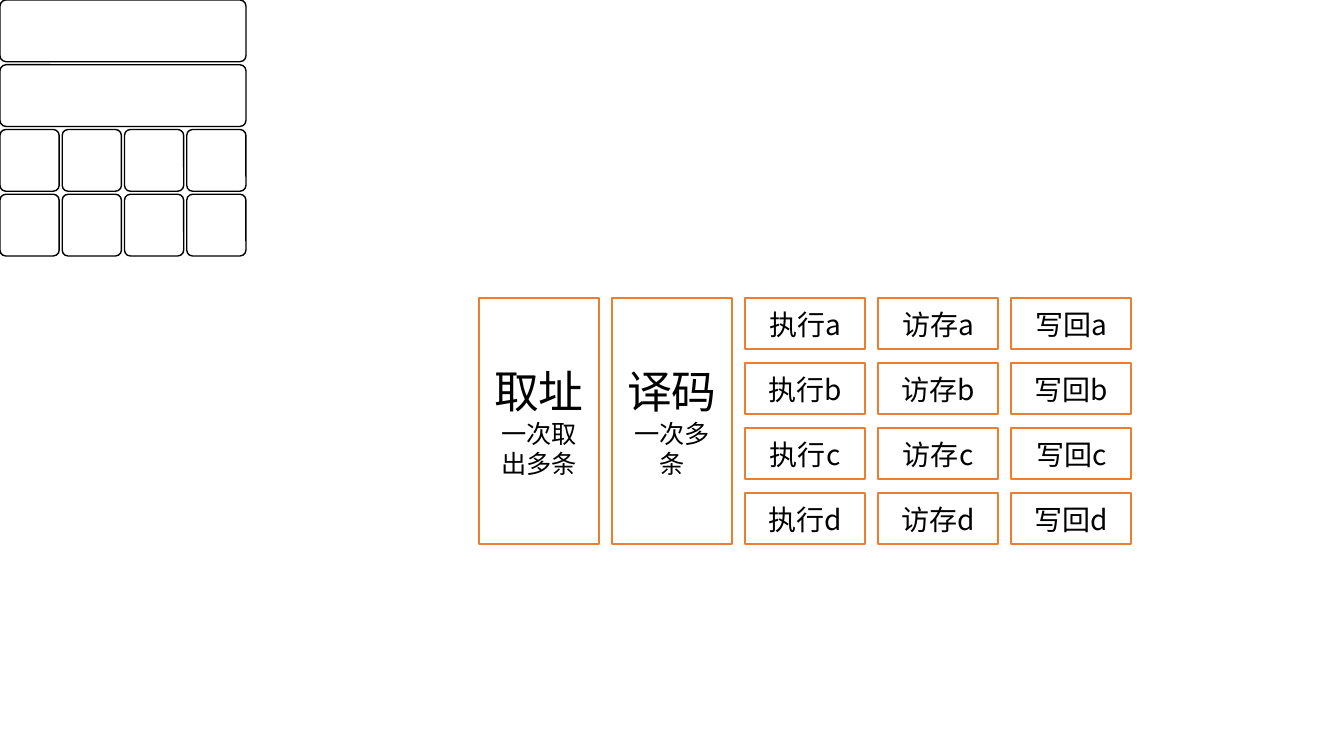
from dataclasses import dataclass

from lxml import etree
from pptx import Presentation
from pptx import util as u
from pptx.dml.color import RGBColor
from pptx.enum import shapes, text
from pptx.oxml.ns import qn
from pptx.shapes.autoshape import Shape
from pptx.shapes.group import GroupShape


@dataclass(frozen=True)
class Theme:
    font: str = "Noto Sans CJK SC"
    fill: RGBColor = RGBColor(0xFF, 0xFF, 0xFF)
    ink: RGBColor = RGBColor(0x00, 0x00, 0x00)
    accent: RGBColor = RGBColor(0xED, 0x7D, 0x31)
    title_size: int = 32
    note_size: int = 18
    stage_size: int = 20
    block_line: float = 1
    stage_line: float = 1.5
    corner: float = 0.1


@dataclass(frozen=True)
class Grid:
    """Equal cells in an area given in inches."""
    left: float
    top: float
    width: float
    height: float
    cols: int
    rows: int
    col_gap: float
    row_gap: float

    def box(self, col: int, row: int, col_span: int, row_span: int) -> list[int]:
        w = (self.width - self.col_gap * (self.cols - 1)) / self.cols
        h = (self.height - self.row_gap * (self.rows - 1)) / self.rows
        return [u.Inches(v) for v in (
            self.left + col * (w + self.col_gap),
            self.top + row * (h + self.row_gap),
            w * col_span + self.col_gap * (col_span - 1),
            h * row_span + self.row_gap * (row_span - 1),
        )]


@dataclass(frozen=True)
class Label:
    text: str
    size: int


@dataclass(frozen=True)
class Cell:
    col: int
    row: int
    col_span: int = 1
    row_span: int = 1
    paragraphs: tuple[tuple[Label, ...], ...] = ()


THEME = Theme()
BLOCKS = Grid(0, 0, 2.44, 2.54, cols=4, rows=4, col_gap=0.03, row_gap=0.03)
PIPELINE = Grid(4.75, 2.96, 6.47, 2.44, cols=5, rows=4, col_gap=0.13, row_gap=0.14)


def draw_cell(group: GroupShape, grid: Grid, cell: Cell, kind: shapes.MSO_SHAPE,
              line: RGBColor, line_width: float) -> Shape:
    sp = group.shapes.add_shape(
        kind, *grid.box(cell.col, cell.row, cell.col_span, cell.row_span))
    sp.shadow.inherit = False
    sp.fill.solid()
    sp.fill.fore_color.rgb = THEME.fill
    sp.line.color.rgb = line
    sp.line.width = u.Pt(line_width)
    return sp


def draw_text(sp: Shape, cell: Cell) -> None:
    tf = sp.text_frame
    tf.word_wrap = True
    tf.vertical_anchor = text.MSO_ANCHOR.MIDDLE
    tf.text = "\n".join(labels[0].text for labels in cell.paragraphs)
    for p, labels in zip(tf.paragraphs, cell.paragraphs):
        p.alignment = text.PP_ALIGN.CENTER
        for label in labels[1:]:
            p.add_run().text = label.text
        for r, label in zip(p.runs, labels):
            r.font.name = THEME.font
            r.font.size = u.Pt(label.size)
            r.font.color.rgb = THEME.ink
            # East Asian typeface
            ea = etree.SubElement(r.font._element, qn("a:ea"))
            ea.set("typeface", THEME.font)


def main() -> None:
    prs = Presentation()
    prs.slide_width, prs.slide_height = u.Inches(13.33), u.Inches(7.5)
    slide = prs.slides.add_slide(prs.slide_layouts[6])

    # Empty blocks: two full-width rows above two rows of four
    blocks = [Cell(0, row, col_span=4) for row in range(2)]
    blocks += [Cell(col, row) for col in range(4) for row in (2, 3)]
    group = slide.shapes.add_group_shape()
    for cell in blocks:
        sp = draw_cell(group, BLOCKS, cell, shapes.MSO_SHAPE.ROUNDED_RECTANGLE,
                       THEME.ink, THEME.block_line)
        sp.adjustments[0] = THEME.corner

    # Pipeline: two shared stages, then three stages with four lanes
    fetch = ((Label("取址", THEME.title_size),),
             (Label("一次取出多条", THEME.note_size),))
    decode = ((Label("译码", THEME.title_size),
               Label("一次多条", THEME.note_size)),)
    stages = [Cell(col, 0, row_span=4, paragraphs=paragraphs)
              for col, paragraphs in enumerate((fetch, decode))]
    stages += [Cell(col, row, paragraphs=((Label(name + lane, THEME.stage_size),),))
               for col, name in enumerate(("执行", "访存", "写回"), start=2)
               for row, lane in enumerate("abcd")]
    group = slide.shapes.add_group_shape()
    for cell in stages:
        sp = draw_cell(group, PIPELINE, cell, shapes.MSO_SHAPE.RECTANGLE,
                       THEME.accent, THEME.stage_line)
        draw_text(sp, cell)

    prs.save("out.pptx")


if __name__ == "__main__":
    main()
